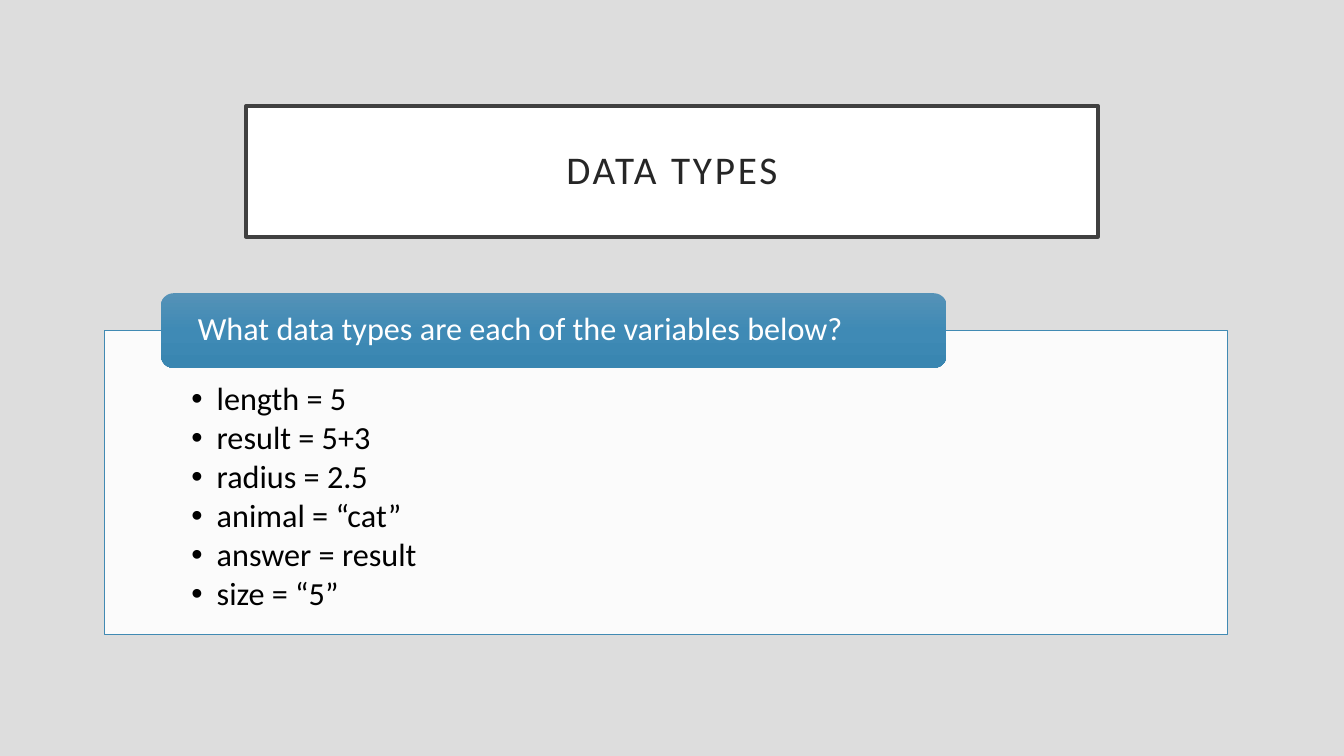
from copy import deepcopy
from lxml.etree import SubElement as Sub
from pptx import Presentation
from pptx.dml.color import RGBColor as RGB
from pptx.enum.shapes import MSO_SHAPE as Shape
from pptx.enum.text import MSO_ANCHOR as Anchor, PP_ALIGN as Align
from pptx.oxml.ns import qn
from pptx.util import Inches, Pt

hues = {
    "back": "DDDDDD", "white": "FFFFFF", "edge": "404040", "title": "262626",
    "blue": "418AB3", "black": "000000",
    "top": "5592B7", "mid": "3F8AB5", "low": "3986B1",
}
hues = {name: RGB.from_string(code) for name, code in hues.items()}

deck = Presentation()
deck.slide_width, deck.slide_height = Inches(13.33), Inches(7.5)
slide = deck.slides.add_slide(deck.slide_layouts[6])
slide.background.fill.solid()
slide.background.fill.fore_color.rgb = hues["back"]


def add_box(kind, left, top, wide, high, fill=None, edge=None, weight=0):
    col, row = deck.slide_width / 100, deck.slide_height / 100
    box = slide.shapes.add_shape(
        kind, int(left * col), int(top * row), int(wide * col), int(high * row))
    box.shadow.inherit = False
    if fill:
        box.fill.solid()
        box.fill.fore_color.rgb = hues[fill]
    if edge:
        box.line.color.rgb = hues[edge]
        box.line.width = Pt(weight)
    else:
        box.line.fill.background()
    return box


def set_text(box, text, size, hue, pads, anchor, align=Align.LEFT, after=0):
    frame = box.text_frame
    frame.word_wrap = True
    frame.vertical_anchor = anchor
    (frame.margin_left, frame.margin_top,
     frame.margin_right, frame.margin_bottom) = map(Inches, pads)
    frame.text = text
    for para in frame.paragraphs:
        para.alignment = align
        para.line_spacing = 0.9
        para.space_after = Pt(after)
        for run in para.runs:
            run.font.name = "Calibri"
            run.font.size = Pt(size)
            run.font.color.rgb = hues[hue]
    return frame.paragraphs


wide = 63.4
title = add_box(Shape.RECTANGLE, (100 - wide) / 2, 14, wide, 17.33,
                "white", "edge", 2.5)
paras = set_text(title, "DATA TYPES", 28, "title", [0.2] * 4,
                 Anchor.MIDDLE, Align.CENTER)
paras[0].runs[0].font._element.set("spc", "200")

left, top, wide = 7.8, 43.73, 83.5
panel = add_box(Shape.RECTANGLE, left, top, wide, 40.13, "white", "blue", 0.5)
tint = panel.fill._xPr.find(qn("a:solidFill"))[0]
Sub(tint, qn("a:alpha"), val="90000")

items = ["length = 5", "result = 5+3", "radius = 2.5",
         "animal = “cat”", "answer = result", "size = “5”"]
paras = set_text(panel, "\n".join(items), 23, "black",
                 (0.86, 0.52, 0.86, 0.18), Anchor.TOP, after=3)
for para in paras:
    props = para._p.get_or_add_pPr()
    props.set("marL", str(Inches(0.25)))
    props.set("indent", str(-Inches(0.25)))
    Sub(props, qn("a:buFont"), typeface="Arial")
    Sub(props, qn("a:buChar"), char="•")

high = 9.87
head = add_box(Shape.ROUNDED_RECTANGLE, left + wide * 0.05, top - high / 2,
               wide * 0.7, high)
head.fill.gradient()
head.fill.gradient_angle = 270
stops = head.fill._xPr.find(qn("a:gradFill")).find(qn("a:gsLst"))
stops.insert(1, deepcopy(stops[0]))
for stop, hue, place in zip(head.fill.gradient_stops,
                            ("top", "mid", "low"), (0, 0.5, 1)):
    stop.color.rgb = hues[hue]
    stop.position = place
set_text(head, "What data types are each of the variables below?", 23, "white",
         (0.33, 0, 0.33, 0), Anchor.MIDDLE)

deck.save("out.pptx")
